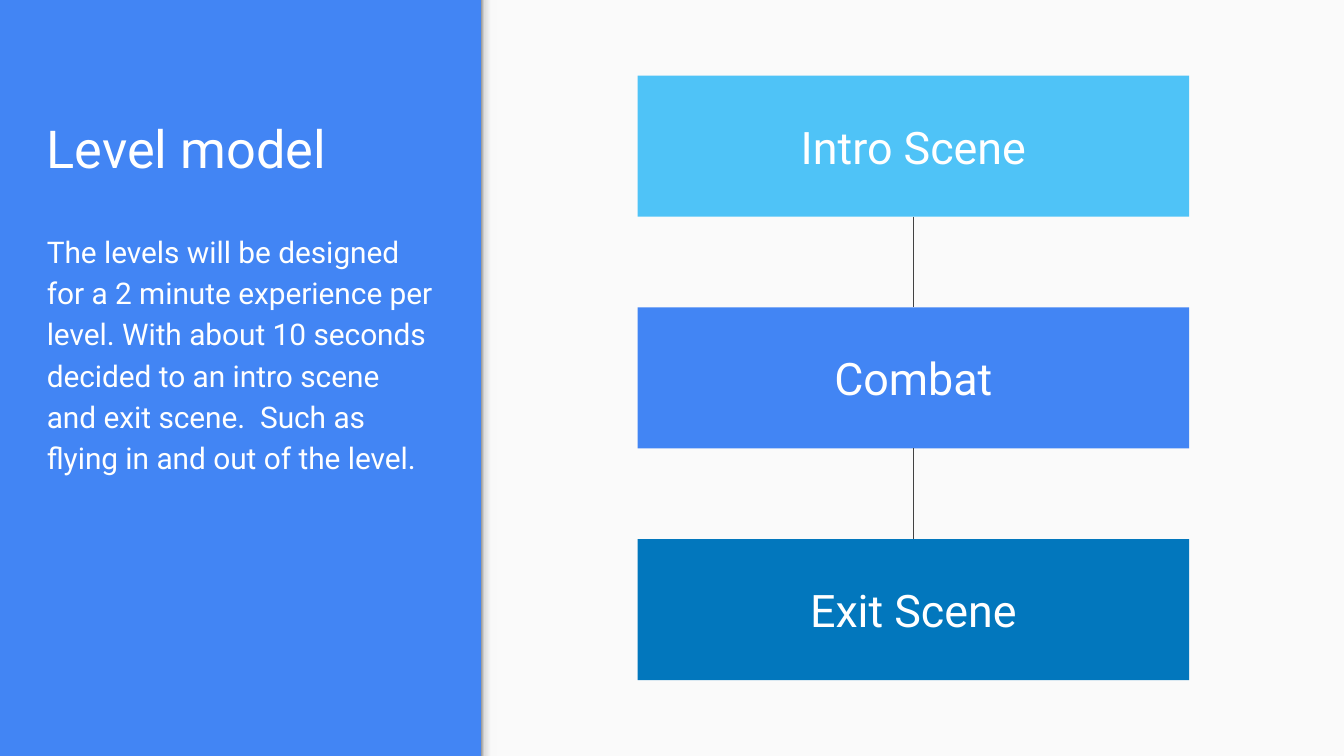
import pptx
import pptx.util
import pptx.dml.color
import pptx.enum.shapes
import pptx.enum.text
import pptx.oxml
import pptx.oxml.ns
import lxml.etree

Pt = pptx.util.Pt
RGBColor = pptx.dml.color.RGBColor
ANCHOR = pptx.enum.text.MSO_ANCHOR
ALIGN = pptx.enum.text.PP_ALIGN
RECTANGLE = pptx.enum.shapes.MSO_SHAPE.RECTANGLE

BLUE = RGBColor(0x42, 0x85, 0xF4)
LIGHT_BLUE = RGBColor(0x4F, 0xC3, 0xF7)
DARK_BLUE = RGBColor(0x02, 0x77, 0xBD)
OFF_WHITE = RGBColor(0xFA, 0xFA, 0xFA)
WHITE = RGBColor(0xFF, 0xFF, 0xFF)
GRAY = RGBColor(0x42, 0x42, 0x42)
EDGE_STOPS = [
    (0, RGBColor(0x99, 0x99, 0x99)),
    (20, RGBColor(0xDE, 0xDE, 0xDE)),
    (64, RGBColor(0xF9, 0xF9, 0xF9)),
    (100, RGBColor(0xF9, 0xF9, 0xF9)),
]

SLIDE_WIDTH, SLIDE_HEIGHT = 720, 405
PANEL_LEFT = 257.8
EDGE_WIDTH = 8.6
STAGE_LEFT, STAGE_TOP = 341.6, 40.5
STAGE_WIDTH, STAGE_HEIGHT = 295.4, 75.6
STAGE_PITCH = 124.15
STAGES = [("Intro Scene", LIGHT_BLUE), ("Combat", BLUE), ("Exit Scene", DARK_BLUE)]
DESCRIPTION = (
    "The levels will be designed for a 2 minute experience per level. "
    "With about 10 seconds decided to an intro scene and exit scene.  "
    "Such as flying in and out of the level."
)


def write_text(shape, text, size, anchor, alignment=ALIGN.LEFT):
    """Fill a shape with white Roboto text and return its paragraph."""
    frame = shape.text_frame
    frame.text = text
    frame.word_wrap = True
    frame.vertical_anchor = anchor
    frame.margin_left = frame.margin_right = Pt(7.2)
    frame.margin_top = frame.margin_bottom = Pt(7.2)
    paragraph = frame.paragraphs[0]
    paragraph.alignment = alignment
    font = paragraph.runs[0].font
    font.name = "Roboto"
    font.size = Pt(size)
    font.color.rgb = WHITE
    return paragraph


def add_text(slide, text, top, height, size, anchor):
    """Add a text box in the left column and return its paragraph."""
    box = slide.shapes.add_textbox(Pt(18), Pt(top), Pt(221), Pt(height))
    return write_text(box, text, size, anchor)


def add_rectangle(slide, left, top, width, height, color):
    """Add a flat rectangle without an outline."""
    shape = slide.shapes.add_shape(RECTANGLE, Pt(left), Pt(top), Pt(width), Pt(height))
    shape.shadow.inherit = False
    shape.fill.solid()
    shape.fill.fore_color.rgb = color
    shape.line.fill.background()
    return shape


def add_panel_edge(slide):
    """Add the soft gradient strip along the left edge of the panel."""
    edge = add_rectangle(slide, PANEL_LEFT, 0, EDGE_WIDTH, SLIDE_HEIGHT, OFF_WHITE)
    edge.fill.gradient()
    edge.fill.gradient_angle = 0
    stop_list = edge._element.spPr.find(".//" + pptx.oxml.ns.qn("a:gsLst"))
    for stop in list(stop_list):
        stop_list.remove(stop)
    for position, color in EDGE_STOPS:
        stop_list.append(pptx.oxml.parse_xml(
            f'<a:gs {pptx.oxml.ns.nsdecls("a")} pos="{position * 1000}">'
            f'<a:srgbClr val="{color}"/></a:gs>'
        ))


def add_link(slide, top, bottom):
    """Add a thin vertical line between two stages."""
    center = Pt(STAGE_LEFT + STAGE_WIDTH / 2)
    link = slide.shapes.add_connector(
        pptx.enum.shapes.MSO_CONNECTOR.STRAIGHT, center, Pt(top), center, Pt(bottom)
    )
    link.line.color.rgb = GRAY
    link.line.width = Pt(0.75)
    lxml.etree.SubElement(link._element.spPr, pptx.oxml.ns.qn("a:effectLst"))


def add_stages(slide):
    """Add the column of stages joined by lines."""
    for index, (name, color) in enumerate(STAGES):
        top = STAGE_TOP + index * STAGE_PITCH
        if index:
            add_link(slide, top - STAGE_PITCH + STAGE_HEIGHT, top)
        stage = add_rectangle(slide, STAGE_LEFT, top, STAGE_WIDTH, STAGE_HEIGHT, color)
        write_text(stage, name, 24, ANCHOR.MIDDLE, ALIGN.CENTER)


def main():
    """Build the level model slide."""
    presentation = pptx.Presentation()
    presentation.slide_width = Pt(SLIDE_WIDTH)
    presentation.slide_height = Pt(SLIDE_HEIGHT)
    slide = presentation.slides.add_slide(presentation.slide_layouts[6])
    slide.background.fill.solid()
    slide.background.fill.fore_color.rgb = BLUE

    add_rectangle(slide, PANEL_LEFT, 0, SLIDE_WIDTH - PANEL_LEFT, SLIDE_HEIGHT, OFF_WHITE)
    add_panel_edge(slide)
    add_text(slide, "Level model", 28, 75, 28, ANCHOR.BOTTOM)
    description = add_text(slide, DESCRIPTION, 115.2, 249, 16, ANCHOR.TOP)
    description.line_spacing = 1.15
    description.space_after = Pt(16)
    add_stages(slide)
    presentation.save("out.pptx")


if __name__ == "__main__":
    main()
